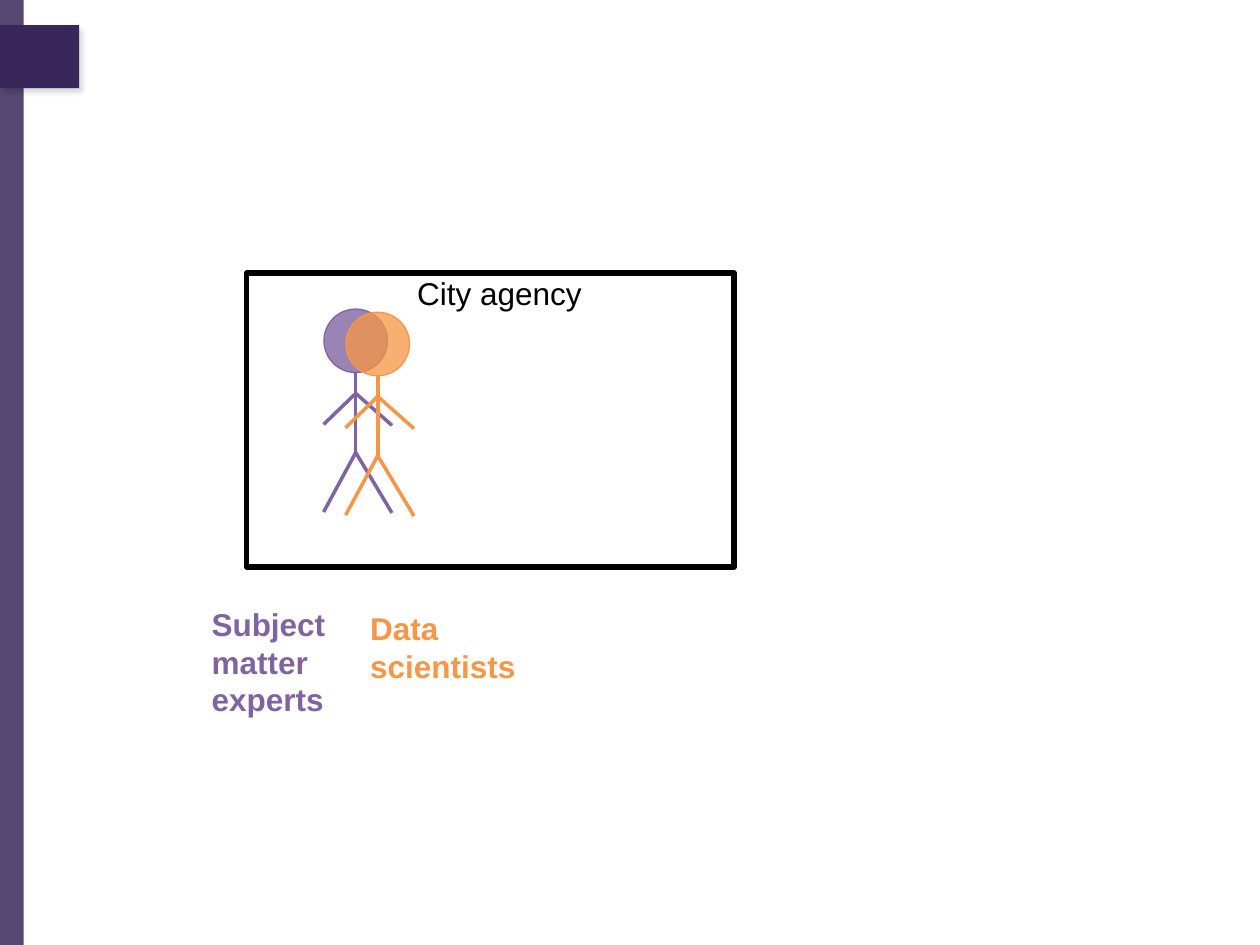
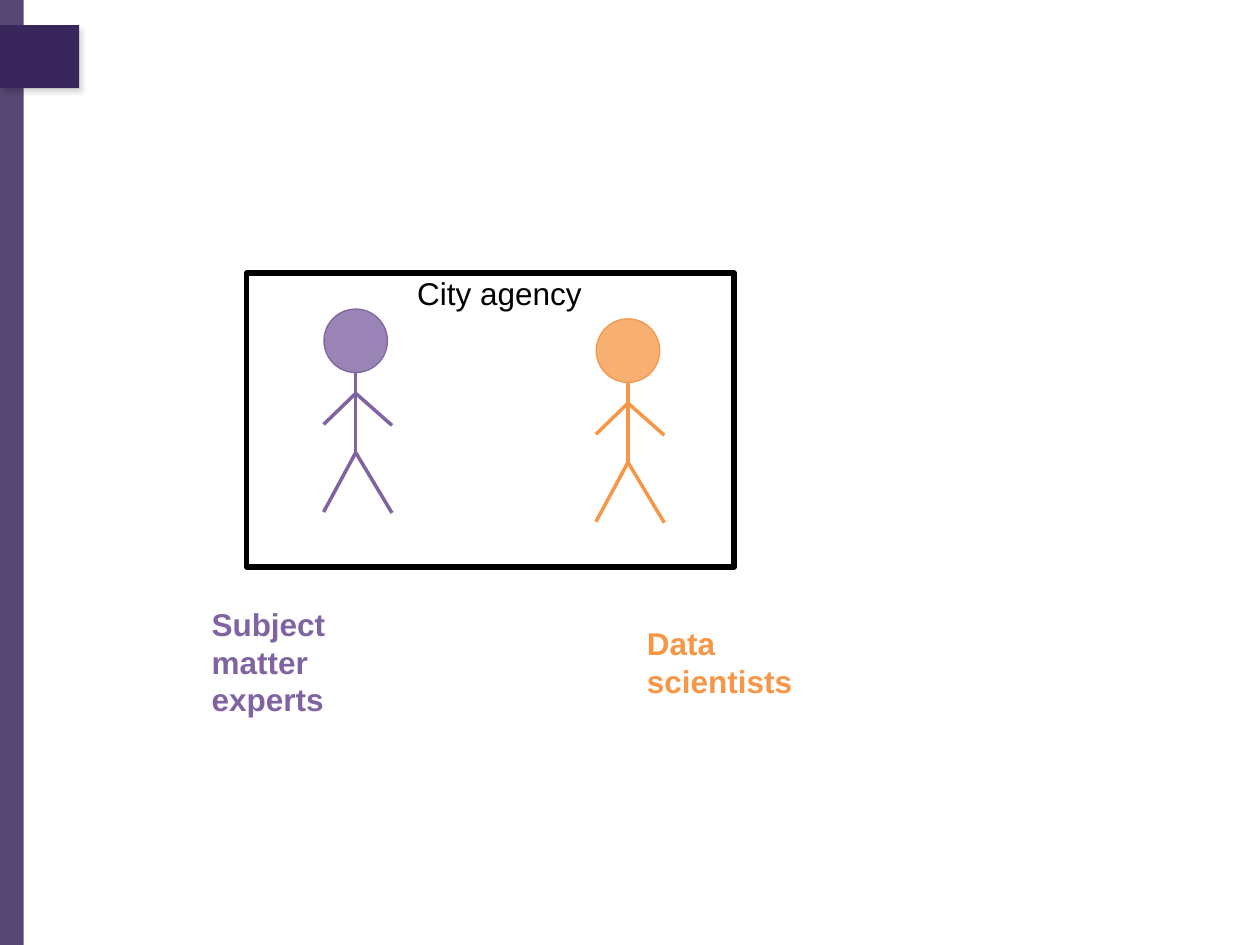
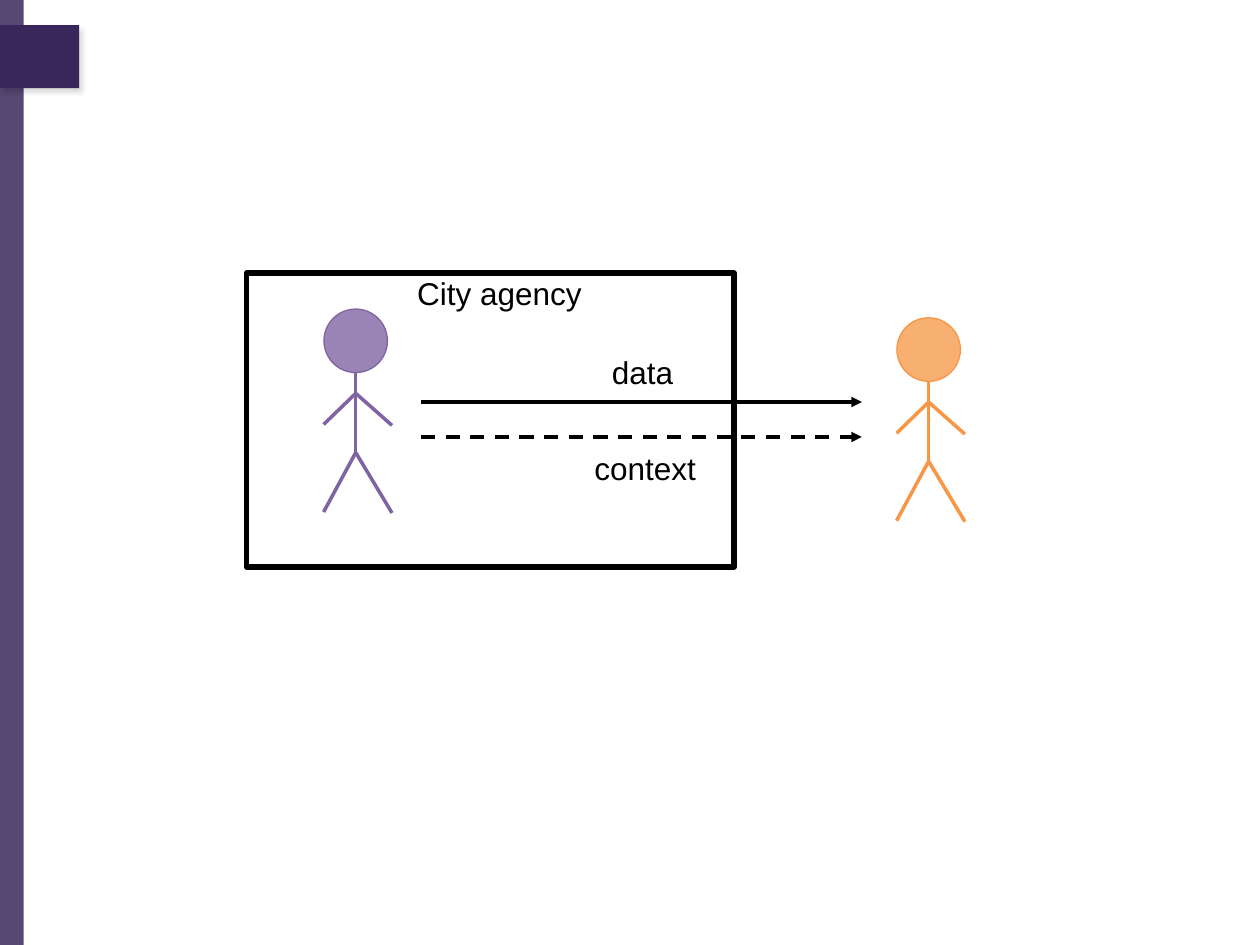
from lxml.etree import SubElement
from pptx import Presentation
from pptx.dml.color import RGBColor
from pptx.enum.dml import MSO_LINE
from pptx.enum.shapes import MSO_CONNECTOR, MSO_SHAPE
from pptx.enum.text import MSO_AUTO_SIZE
from pptx.oxml.ns import qn
from pptx.util import Pt

# Colours
INDIGO = "39275B"
PURPLE = "8064A2"
ORANGE = "F79646"
BLACK = "000000"


def rgb(value):
    return RGBColor.from_string(value)


class Deck:
    font = "Arial"
    text_size = 18
    line_width = 2

    def __init__(self):
        self.prs = Presentation()
        self.prs.slide_width, self.prs.slide_height = Pt(720), Pt(540)
        self.s = None

    def new_slide(self):
        """Add a blank slide with the side band and its tab."""
        self.s = self.prs.slides.add_slide(self.prs.slide_layouts[6])
        self.shape(0, 0, 13.6, 540, fill=INDIGO, opacity=85)
        tab = self.shape(0, 14.4, 45.3, 36, fill=INDIGO)
        self.drop_shadow(tab)

    def shape(self, x, y, w, h, kind=MSO_SHAPE.RECTANGLE, fill=None,
              opacity=100, line=None, width=0.75, parent=None):
        shapes = (parent or self.s).shapes
        sp = shapes.add_shape(kind, Pt(x), Pt(y), Pt(w), Pt(h))
        sp.shadow.inherit = False
        if fill:
            sp.fill.solid()
            sp.fill.fore_color.rgb = rgb(fill)
            if opacity < 100:
                color = sp.element.spPr.find(qn("a:solidFill"))[0]
                SubElement(color, qn("a:alpha"), val=str(opacity * 1000))
        else:
            sp.fill.background()
        if line:
            self.stroke(sp, line, width)
        else:
            sp.line.fill.background()
        return sp

    def stroke(self, sp, color, width=line_width):
        sp.line.color.rgb = rgb(color)
        sp.line.width = Pt(width)

    def drop_shadow(self, sp):
        effects = sp.element.spPr.find(qn("a:effectLst"))
        shadow = SubElement(effects, qn("a:outerShdw"), blurRad=str(Pt(3)),
                            dist=str(Pt(3)), dir=str(60 * 60000), rotWithShape="0")
        color = SubElement(shadow, qn("a:srgbClr"), val=BLACK)
        SubElement(color, qn("a:alpha"), val="15000")

    def line(self, x1, y1, x2, y2, color=BLACK, dashed=False, arrow=False, parent=None):
        shapes = (parent or self.s).shapes
        cx = shapes.add_connector(MSO_CONNECTOR.STRAIGHT, Pt(x1), Pt(y1), Pt(x2), Pt(y2))
        self.stroke(cx, color)
        if dashed:
            cx.line.dash_style = MSO_LINE.DASH
        spPr = cx.element.spPr
        if arrow:
            SubElement(spPr.find(qn("a:ln")), qn("a:tailEnd"), type="triangle")
        SubElement(spPr, qn("a:effectLst"))

    def polyline(self, points, color, parent):
        start, *rest = [(Pt(x), Pt(y)) for x, y in points]
        builder = parent.shapes.build_freeform(*start)
        builder.add_line_segments(rest, close=False)
        sp = builder.convert_to_shape()
        sp.shadow.inherit = False
        sp.fill.background()
        self.stroke(sp, color)

    def text(self, x, y, w, h, text, color=BLACK, bold=False):
        tf = self.s.shapes.add_textbox(Pt(x), Pt(y), Pt(w), Pt(h)).text_frame
        tf.word_wrap = True
        tf.auto_size = MSO_AUTO_SIZE.SHAPE_TO_FIT_TEXT
        tf.text = text
        font = tf.paragraphs[0].runs[0].font
        font.name, font.size, font.bold = self.font, Pt(self.text_size), bold
        font.color.rgb = rgb(color)

    def person(self, x, y, color, opacity):
        """Draw a stick figure whose head has its top left corner at x, y."""
        group = self.s.shapes.add_group_shape()
        self.shape(x, y, 36.3, 36.3, MSO_SHAPE.OVAL, color, opacity, color, parent=group)
        mid = x + 18.2
        self.line(mid, y + 36.3, mid, y + 84, color, parent=group)
        for joint, end in ((82, 116), (48.2, 66)):  # legs, arms
            limbs = [(x - 0.2, y + end), (mid, y + joint), (x + 38.9, y + end + 0.5)]
            self.polyline(limbs, color, group)

    def expert(self):
        self.person(185.1, 176.6, PURPLE, 79)

    def scientist(self, x, y):
        self.person(x, y, ORANGE, 76)

    def agency(self):
        self.shape(141, 156, 278.5, 168, line=BLACK, width=3)
        self.text(231.3, 152.8, 120, 29, "City agency")

    def role_labels(self, x, y):
        self.text(113.8, 342, 120, 73, "Subject matter experts", PURPLE, True)
        self.text(x, y, 120, 51, "Data scientists", ORANGE, True)


def main():
    deck = Deck()

    # Slides 1 and 2: both roles inside the agency, close together, then apart
    for figure, label in (((197.7, 178.4), (204.4, 344.7)),
                          ((340.7, 182.2), (362.6, 353.3))):
        deck.new_slide()
        deck.expert()
        deck.scientist(*figure)
        deck.agency()
        deck.role_labels(*label)

    # Slide 3: data scientist outside the agency, data and context flowing out
    deck.new_slide()
    for y, dashed in ((229.7, False), (249.7, True)):
        deck.line(240.5, y, 492.5, y, dashed=dashed, arrow=True)
    deck.text(342.6, 198.3, 60, 29, "data")
    deck.text(332.6, 253, 90, 29, "context")
    deck.expert()
    deck.scientist(512.5, 181.6)
    deck.agency()

    deck.prs.save("out.pptx")


if __name__ == "__main__":
    main()
